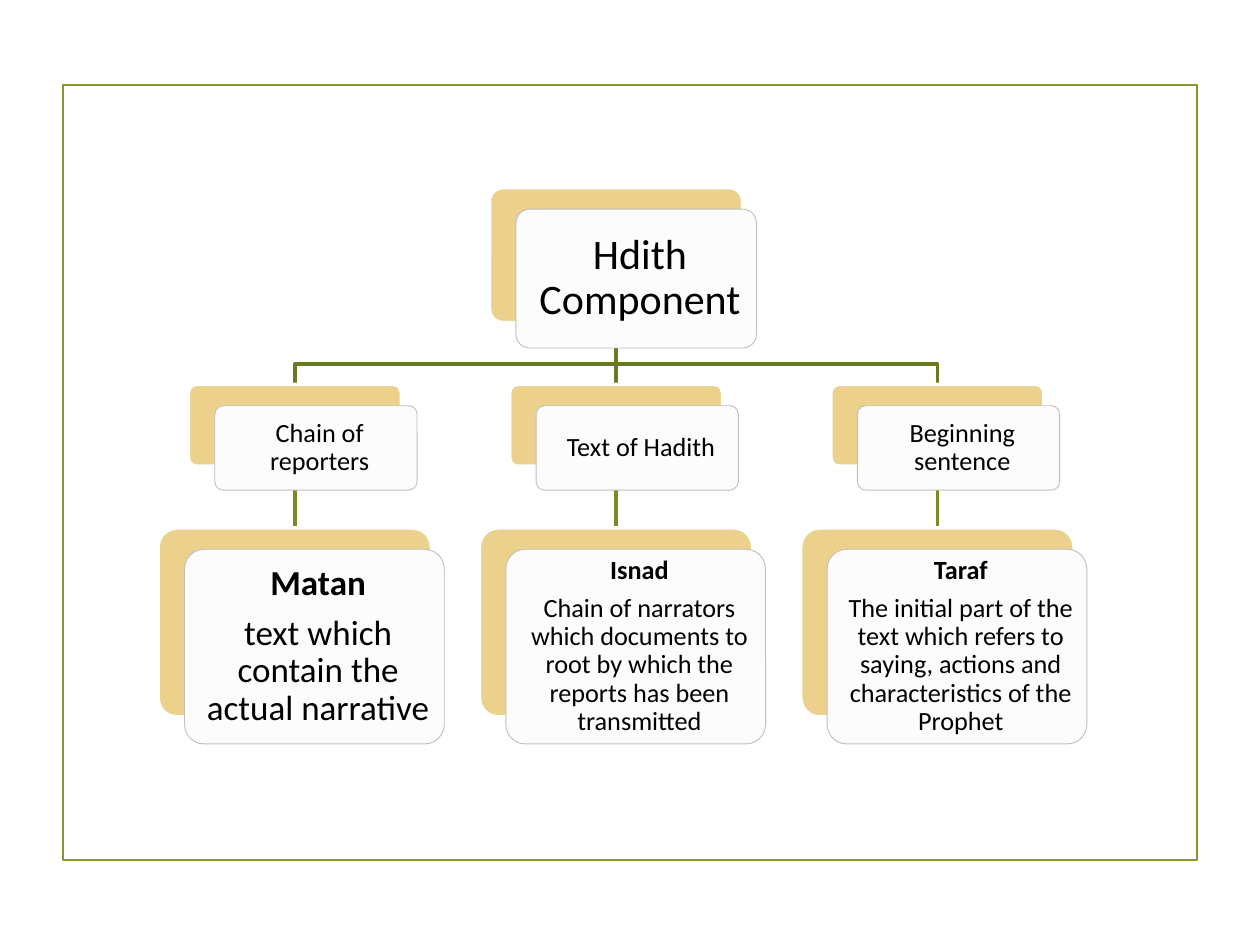
import pptx
import pptx.dml.color
import pptx.enum.shapes
import pptx.enum.text
import pptx.oxml
import pptx.util

WIDTH, HEIGHT = 10, 7.5
COLUMN, FIRST_CENTRE = 2.55, 2.34
ROOT_ROW, PART_ROW, DETAIL_ROW = (1.49, 2.01, 1.07), (3.05, 1.69, 0.65), (4.19, 2.17, 1.5)
PARTS = [
    ("Chain of reporters", "Matan", "text which contain the actual narrative", 20),
    ("Text of Hadith", "Isnad",
     "Chain of narrators which documents to root by which the reports has been transmitted", 15),
    ("Beginning sentence", "Taraf",
     "The initial part of the text which refers to saying, actions and characteristics of the Prophet", 15),
]
inch = pptx.util.Inches


def colour(hex_code):
    """Turn a hex string into a colour."""
    return pptx.dml.color.RGBColor.from_string(hex_code)


def box_in(row, centre):
    """Return the box of a row, centred on a column."""
    top, width, height = row
    return centre - width / 2, top, width, height


def add_panel(slide, kind, box, fill, line, weight):
    """Add a flat preset shape in the box."""
    panel = slide.shapes.add_shape(kind, *(inch(length) for length in box))
    panel.shadow.inherit = False
    if fill:
        panel.fill.solid()
        panel.fill.fore_color.rgb = colour(fill)
    else:
        panel.fill.background()
    panel.line.color.rgb = colour(line)
    panel.line.width = pptx.util.Pt(weight)
    return panel


def add_card(slide, box, lines, size):
    """Add a gold backing and a white card; the first of several lines is bold."""
    left, top, width, height = box
    rounded = pptx.enum.shapes.MSO_SHAPE.ROUNDED_RECTANGLE
    backing = add_panel(slide, rounded, box, "EBD18C", "FFFFFF", 2)
    front = (left + 0.21, top + 0.17, width * 0.95, height * 1.03)
    card = add_panel(slide, rounded, front, "FCFCFC", "BFBFBF", 0.5)
    backing.adjustments[0] = card.adjustments[0] = 0.1
    frame = card.text_frame
    frame.word_wrap = True
    frame.vertical_anchor = pptx.enum.text.MSO_ANCHOR.MIDDLE
    frame.margin_left, frame.margin_right = inch(0.08), inch(0.02)
    frame.margin_top = frame.margin_bottom = inch(0.05)
    frame.text = "\n".join(lines)
    for index, paragraph in enumerate(frame.paragraphs):
        paragraph.alignment = pptx.enum.text.PP_ALIGN.CENTER
        paragraph.line_spacing = 0.9
        paragraph.space_after = pptx.util.Pt(size * 0.35)
        for run in paragraph.runs:
            run.font.name = "Calibri"
            run.font.size = pptx.util.Pt(size)
            run.font.bold = len(lines) > 1 and index == 0
            run.font.color.rgb = colour("000000")


def add_link(slide, start, end, hex_code):
    """Link two points, straight when aligned and stepped otherwise."""
    (x, top), (end_x, bottom) = start, end
    if x == end_x:
        link = slide.shapes.add_connector(
            pptx.enum.shapes.MSO_CONNECTOR.STRAIGHT, inch(x), inch(top), inch(x), inch(bottom))
        link._element.spPr.append(pptx.oxml.parse_xml(
            '<a:effectLst xmlns:a="http://schemas.openxmlformats.org/drawingml/2006/main"/>'))
    else:
        bend = top + (bottom - top) * 0.67
        outline = slide.shapes.build_freeform(inch(x), inch(top))
        corners = [(x, bend), (end_x, bend), (end_x, bottom)]
        outline.add_line_segments([(inch(a), inch(b)) for a, b in corners], close=False)
        link = outline.convert_to_shape()
        link.shadow.inherit = False
        link.fill.background()
    link.line.color.rgb = colour(hex_code)
    link.line.width = pptx.util.Pt(2)


def add_hierarchy(slide):
    """Draw the links, then the root card and one column of cards per part."""
    centres = [FIRST_CENTRE + COLUMN * index for index in range(len(PARTS))]
    root_centre = centres[1]
    root_bottom = ROOT_ROW[0] + ROOT_ROW[2]
    part_bottom = PART_ROW[0] + PART_ROW[2]
    for centre in centres:
        add_link(slide, (root_centre, root_bottom), (centre, PART_ROW[0]), "697B22")
        add_link(slide, (centre, part_bottom), (centre, DETAIL_ROW[0]), "778B26")
    add_card(slide, box_in(ROOT_ROW, root_centre), ["Hdith Component"], 24)
    for centre, (part, term, meaning, size) in zip(centres, PARTS):
        add_card(slide, box_in(PART_ROW, centre), [part], 15)
        add_card(slide, box_in(DETAIL_ROW, centre), [term, meaning], size)


def main():
    """Build and save the slide."""
    deck = pptx.Presentation()
    deck.slide_width, deck.slide_height = inch(WIDTH), inch(HEIGHT)
    slide = deck.slides.add_slide(deck.slide_layouts[6])
    border = (WIDTH * 0.05, HEIGHT * 0.09, WIDTH * 0.9, HEIGHT * 0.82)
    add_panel(slide, pptx.enum.shapes.MSO_SHAPE.RECTANGLE, border, None, "83992A", 1.25)
    add_hierarchy(slide)
    deck.save("out.pptx")


if __name__ == "__main__":
    main()
